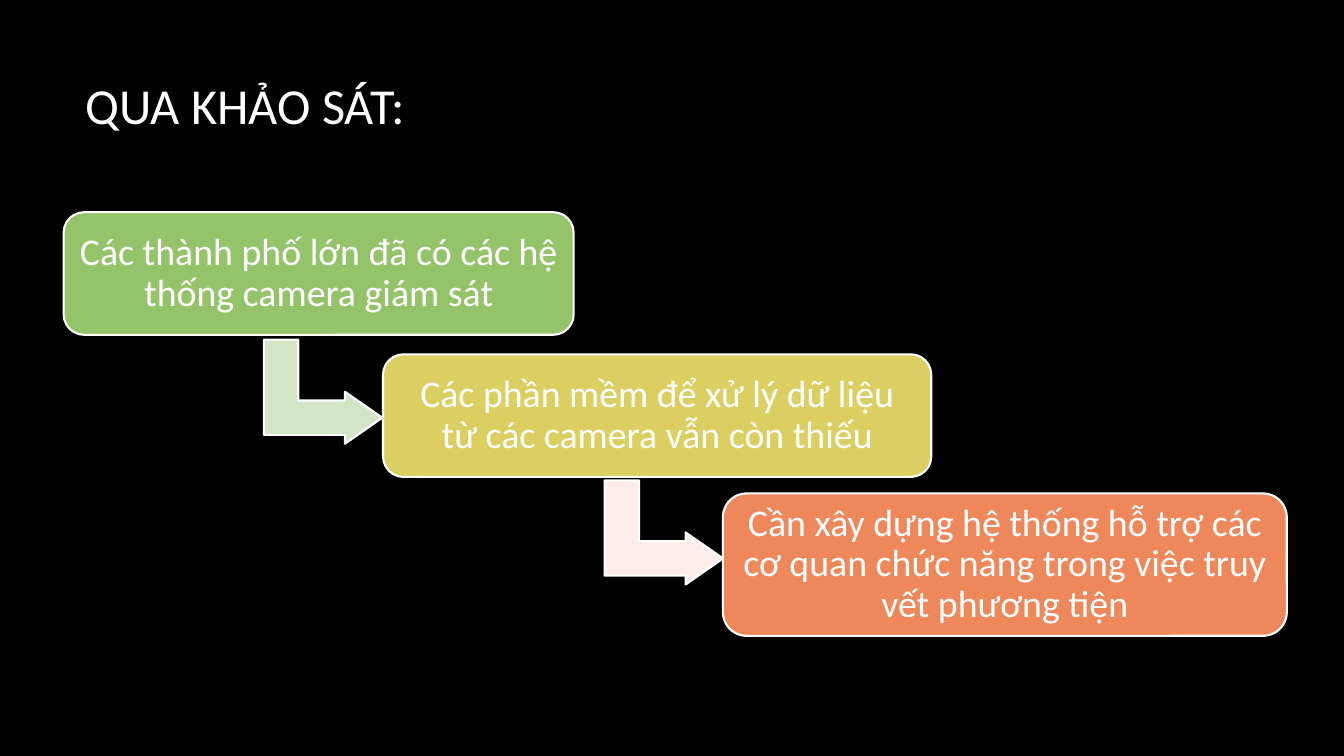
from dataclasses import dataclass

from pptx import Presentation
from pptx import util as u
from pptx.dml.color import RGBColor
from pptx.enum import shapes, text

COLORS = {
    "background": "000000",
    "white": "FFFFFF",
    "green": "95C369",
    "yellow": "DACF60",
    "orange": "EE875A",
    "pale_green": "D3E4C7",
    "pale_pink": "FCEDEA",
}
FONT = "Calibri"


@dataclass
class Step:
    left: float
    top: float
    width: float
    height: float
    color: str
    label: str


@dataclass
class Arrow:
    left: float
    top: float
    color: str


STEPS = [
    Step(45.5, 151.6, 364.3, 87.6, "green",
         "Các thành phố lớn đã có các hệ thống camera giám sát"),
    Step(273.6, 253.1, 391.6, 87.6, "yellow",
         "Các phần mềm để xử lý dữ liệu từ các camera vẫn còn thiếu"),
    Step(516.4, 352.5, 402.8, 101.7, "orange",
         "Cần xây dựng hệ thống hỗ trợ các cơ quan chức năng trong việc truy vết phương tiện"),
]
ARROWS = [Arrow(193.6, 237.5, "pale_green"), Arrow(437, 338, "pale_pink")]


def rgb(name: str) -> RGBColor:
    """Return the named colour."""
    return RGBColor.from_string(COLORS[name])


def add_text(p, label: str, size: float) -> None:
    """Add one white run to a paragraph."""
    r = p.add_run()
    r.text = label
    r.font.name = FONT
    r.font.size = u.Pt(size)
    r.font.color.rgb = rgb("white")


def add_outlined(s, kind, left: float, top: float, width: float, height: float, color: str):
    """Add a filled shape with a white outline."""
    sp = s.shapes.add_shape(kind, u.Pt(left), u.Pt(top), u.Pt(width), u.Pt(height))
    sp.shadow.inherit = False
    sp.fill.solid()
    sp.fill.fore_color.rgb = rgb(color)
    sp.line.color.rgb = rgb("white")
    sp.line.width = u.Pt(1.5)
    return sp


def add_step(s, step: Step) -> None:
    """Draw a rounded box with its centred label."""
    sp = add_outlined(s, shapes.MSO_SHAPE.ROUNDED_RECTANGLE, step.left, step.top,
                      step.width, step.height, step.color)
    tf = sp.text_frame
    tf.word_wrap = True
    tf.vertical_anchor = text.MSO_ANCHOR.MIDDLE
    tf.margin_left = tf.margin_right = tf.margin_top = tf.margin_bottom = u.Pt(7)
    p = tf.paragraphs[0]
    p.alignment = text.PP_ALIGN.CENTER
    p.line_spacing = 0.9
    add_text(p, step.label, 27)


def add_arrow(s, arrow: Arrow) -> None:
    """Draw a bent arrow leading down and to the right."""
    sp = add_outlined(s, shapes.MSO_SHAPE.BENT_UP_ARROW, arrow.left, arrow.top,
                      74.4, 84.6, arrow.color)
    sp.rotation = 90
    for i, value in enumerate((0.33, 0.25, 0.36)):
        sp.adjustments[i] = value


def add_title(s, label: str) -> None:
    """Place and fill the title."""
    sp = s.shapes.title
    sp.left, sp.top, sp.width, sp.height = u.Pt(54), u.Pt(48.2), u.Pt(798), u.Pt(53.3)
    tf = sp.text_frame
    tf.word_wrap = True
    tf.auto_size = text.MSO_AUTO_SIZE.NONE
    tf.vertical_anchor = text.MSO_ANCHOR.MIDDLE
    p = tf.paragraphs[0]
    p.alignment = text.PP_ALIGN.LEFT
    add_text(p, label, 36)


def main() -> None:
    """Build and save the slide."""
    prs = Presentation()
    prs.slide_width, prs.slide_height = u.Pt(960), u.Pt(540)
    s = prs.slides.add_slide(prs.slide_layouts[5])
    s.background.fill.solid()
    s.background.fill.fore_color.rgb = rgb("background")
    add_title(s, "QUA KHẢO SÁT:")
    for arrow in ARROWS:
        add_arrow(s, arrow)
    for step in STEPS:
        add_step(s, step)
    prs.save("out.pptx")


if __name__ == "__main__":
    main()
